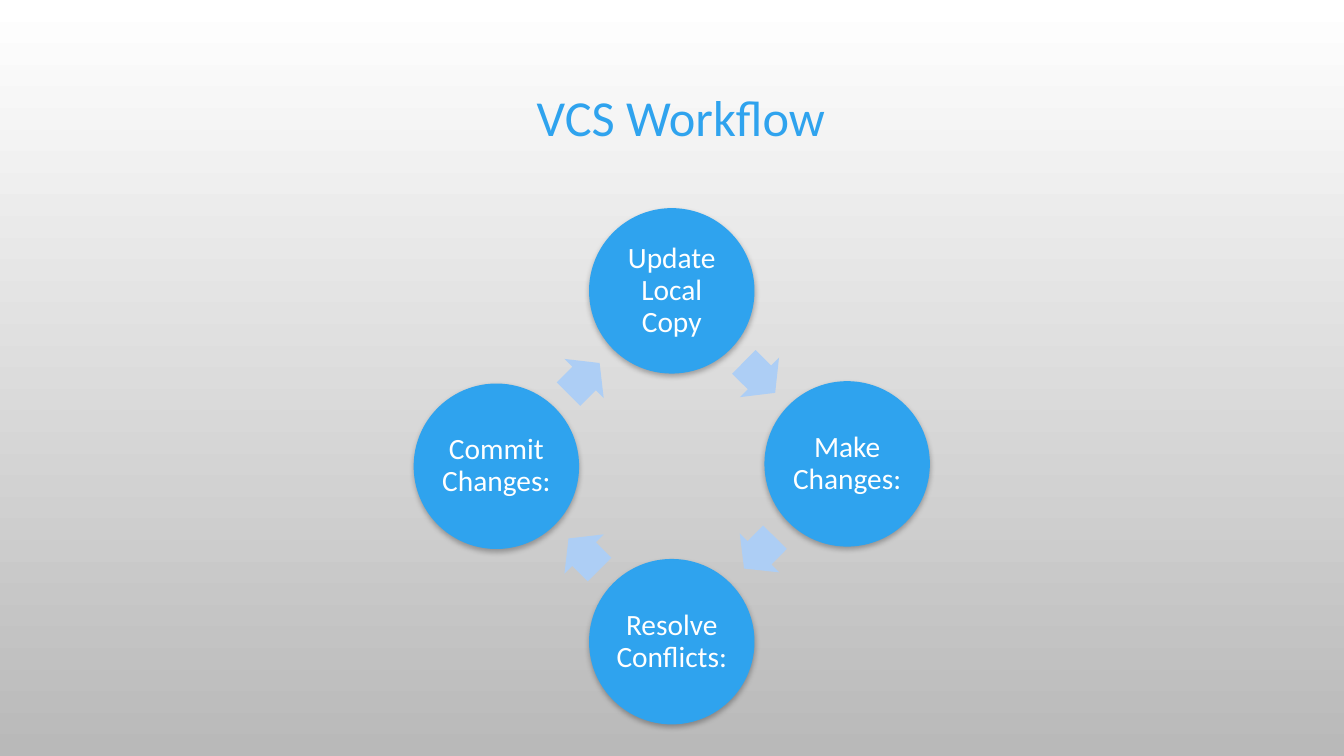
import math
from dataclasses import dataclass
from typing import Any

from lxml import etree
from pptx import Presentation
from pptx import util as u
from pptx.dml import color
from pptx.enum import shapes as s, text as t
from pptx.oxml import ns

BLUE, PALE, WHITE, GREY = "2FA3EE", "ADCEF5", "FFFFFF", "B9B9B9"
MID_X, MID_Y, RING = 16.93, 11.75, 4.42
DISC = 4.17
ARROW_W, ARROW_H = 1.11, 1.4


@dataclass
class Step:
    label: str
    turn: int
    nudge: float = 0

    @property
    def x(self) -> float:
        return MID_X + RING * math.cos(math.radians(self.turn))

    @property
    def y(self) -> float:
        return MID_Y + RING * math.sin(math.radians(self.turn)) + self.nudge


STEPS = [
    Step("Update Local Copy", -90),
    Step("Make Changes:", 0, -0.06),
    Step("Resolve Conflicts:", 90),
    Step("Commit Changes:", 180),
]


def rgb(code: str) -> color.RGBColor:
    return color.RGBColor.from_string(code)


def apply(item: Any, values: dict[str, Any]) -> None:
    for name, value in values.items():
        setattr(item, name, value)


def write(frame: Any, words: str, size: int, code: str) -> None:
    frame.text = words
    apply(frame, {"word_wrap": True, "vertical_anchor": t.MSO_ANCHOR.MIDDLE})
    line = frame.paragraphs[0]
    apply(line, {"alignment": t.PP_ALIGN.CENTER, "line_spacing": 0.9})
    font = line.runs[0].font
    apply(font, {"name": "Calibri", "size": u.Pt(size)})
    font.color.rgb = rgb(code)


def add_form(slide: Any, kind: Any, x: float, y: float, wide: float, high: float, code: str) -> Any:
    form = slide.shapes.add_shape(
        kind, u.Cm(x - wide / 2), u.Cm(y - high / 2), u.Cm(wide), u.Cm(high))
    form.shadow.inherit = False
    form.fill.solid()
    form.fill.fore_color.rgb = rgb(code)
    form.line.fill.background()
    return form


def add_shade(form: Any) -> None:
    effects = form.element.spPr.find(ns.qn("a:effectLst"))
    shade = etree.SubElement(
        effects, ns.qn("a:outerShdw"), blurRad=str(u.Pt(4)), dist=str(u.Pt(2)),
        dir="5400000", algn="ctr", rotWithShape="0")
    black = etree.SubElement(shade, ns.qn("a:srgbClr"), val="000000")
    etree.SubElement(black, ns.qn("a:alpha"), val="28000")


def add_disc(slide: Any, step: Step) -> None:
    disc = add_form(slide, s.MSO_SHAPE.OVAL, step.x, step.y, DISC, DISC, BLUE)
    add_shade(disc)
    sides = ("left", "top", "right", "bottom")
    apply(disc.text_frame, {f"margin_{side}": u.Cm(0.07) for side in sides})
    write(disc.text_frame, step.label, 21, WHITE)


def add_arrow(slide: Any, start: Step, end: Step) -> None:
    arrow = add_form(
        slide, s.MSO_SHAPE.RIGHT_ARROW, (start.x + end.x) / 2,
        (start.y + end.y) / 2, ARROW_W, ARROW_H, PALE)
    arrow.adjustments[0] = 0.6
    arrow.rotation = math.degrees(math.atan2(end.y - start.y, end.x - start.x))


def paint(slide: Any) -> None:
    fill = slide.background.fill
    fill.gradient()
    fill.gradient_angle = 270
    for stop, code in zip(fill.gradient_stops, (WHITE, GREY)):
        stop.color.rgb = rgb(code)


def main() -> None:
    deck = Presentation()
    apply(deck, {"slide_width": u.Cm(33.87), "slide_height": u.Cm(19.05)})
    slide = deck.slides.add_slide(deck.slide_layouts[5])
    paint(slide)
    title = slide.shapes.title
    apply(title, {"left": u.Cm(2.77), "top": u.Cm(0.81),
                  "width": u.Cm(28.78), "height": u.Cm(4.45)})
    write(title.text_frame, "VCS Workflow", 36, BLUE)
    for step, after in zip(STEPS, STEPS[1:] + STEPS[:1]):
        add_disc(slide, step)
        add_arrow(slide, step, after)
    deck.save("out.pptx")


if __name__ == "__main__":
    main()
